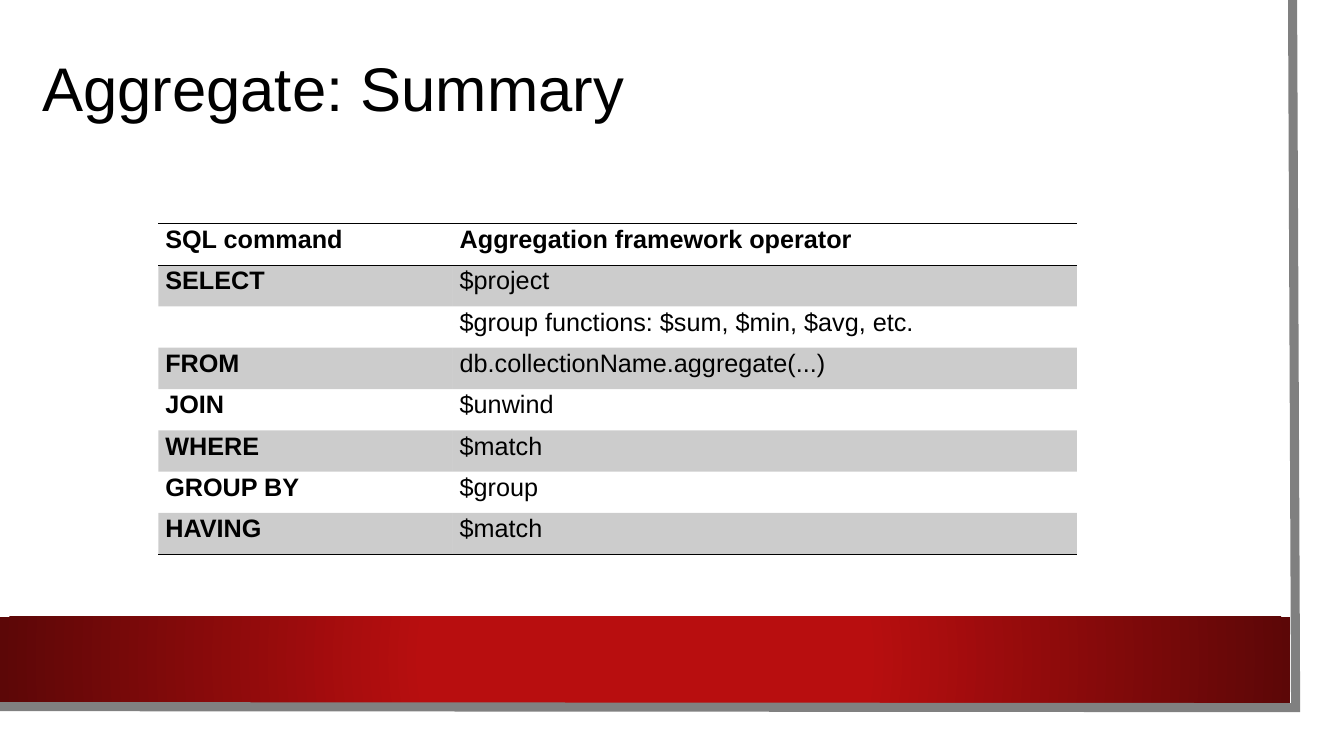
from dataclasses import dataclass

from lxml.etree import SubElement
from pptx import Presentation
from pptx.dml.color import RGBColor as Color
from pptx.enum.shapes import MSO_SHAPE as Shape
from pptx.enum.text import MSO_ANCHOR as Anchor
from pptx.oxml import parse_xml
from pptx.oxml.ns import nsdecls, qn
from pptx.util import Inches, Pt

PLAIN_TABLE_STYLE = "{2D5ABB26-0587-4C30-8999-92F81FD0307C}"
OPERATORS = [
    ("SQL command", "Aggregation framework operator"),
    ("SELECT", "$project"),
    ("", "$group functions: $sum, $min, $avg, etc."),
    ("FROM", "db.collectionName.aggregate(...)"),
    ("JOIN", "$unwind"),
    ("WHERE", "$match"),
    ("GROUP BY", "$group"),
    ("HAVING", "$match"),
]


@dataclass(frozen=True)
class Theme:
    font: str = "Arial"
    ink: str = "000000"
    paper: str = "FFFFFF"
    frame: str = "808080"
    red: str = "B80E0F"
    dark_red: str = "5C0707"
    title_size: int = 44
    table_size: int = 18
    band_opacity: int = 20


class SlideBuilder:
    def __init__(self, slide, theme):
        self.shapes = slide.shapes
        self.theme = theme

    def rectangle(self, left, top, width, height, color):
        box = self.shapes.add_shape(
            Shape.RECTANGLE, Inches(left), Inches(top), Inches(width), Inches(height))
        box.shadow.inherit = False
        box.line.fill.background()
        box.fill.solid()
        box.fill.fore_color.rgb = Color.from_string(color)
        return box

    def glowing_band(self, left, top, width, height):
        """Add a rectangle that darkens outwards from its centre."""
        band = self.rectangle(left, top, width, height, self.theme.red)
        properties = band.element.spPr
        gradient = parse_xml(
            f'<a:gradFill {nsdecls("a")} rotWithShape="1"><a:gsLst>'
            f'<a:gs pos="34000"><a:srgbClr val="{self.theme.red}"/></a:gs>'
            f'<a:gs pos="100000"><a:srgbClr val="{self.theme.dark_red}"/></a:gs>'
            '</a:gsLst><a:path path="circle">'
            '<a:fillToRect l="50000" t="50000" r="50000" b="50000"/>'
            '</a:path></a:gradFill>')
        properties.replace(properties.find(qn("a:solidFill")), gradient)

    def open_line(self, points, color, weight):
        start, *rest = [(Inches(x), Inches(y)) for x, y in points]
        builder = self.shapes.build_freeform(*start)
        builder.add_line_segments(rest, close=False)
        outline = builder.convert_to_shape()
        outline.shadow.inherit = False
        outline.fill.background()
        outline.line.color.rgb = Color.from_string(color)
        outline.line.width = Pt(weight)
        line = outline.element.spPr.find(qn("a:ln"))
        SubElement(line, qn("a:miter"), lim="800000")

    def set_text(self, frame, text, size, spacing, bold=False):
        para = frame.paragraphs[0]
        para.text = text
        para.line_spacing = spacing
        para.font.name = self.theme.font
        para.font.size = Pt(size)
        para.font.bold = bold
        para.font.color.rgb = Color.from_string(self.theme.ink)

    def title(self, left, top, width, height, text):
        box = self.shapes.add_textbox(
            Inches(left), Inches(top), Inches(width), Inches(height))
        frame = box.text_frame
        frame.word_wrap = True
        frame.vertical_anchor = Anchor.MIDDLE
        self.set_text(frame, text, self.theme.title_size, 0.9)

    def cell_border(self, cell, side):
        properties = cell._tc.get_or_add_tcPr()
        line = SubElement(properties, qn(f"a:ln{side}"), w=str(Pt(1)))
        fill = SubElement(line, qn("a:solidFill"))
        SubElement(fill, qn("a:srgbClr"), val=self.theme.ink)

    def cell_fill(self, cell, banded):
        if not banded:
            cell.fill.background()
            return
        cell.fill.solid()
        cell.fill.fore_color.rgb = Color.from_string(self.theme.ink)
        fill = cell._tc.get_or_add_tcPr().find(qn("a:solidFill"))
        SubElement(fill[0], qn("a:alpha"), val=str(self.theme.band_opacity * 1000))

    def table(self, left, top, column_widths, row_height, rows):
        """Add a ruled table with a bold header and first column, and shaded odd rows."""
        holder = self.shapes.add_table(
            len(rows), len(column_widths), Inches(left), Inches(top),
            Inches(sum(column_widths)), Inches(row_height * len(rows)))
        table = holder.table
        table.first_row = table.horz_banding = False
        style = next(holder.element.iter(qn("a:tableStyleId")))
        style.text = PLAIN_TABLE_STYLE
        for column, width in zip(table.columns, column_widths):
            column.width = Inches(width)
        last = len(rows) - 1
        for i, texts in enumerate(rows):
            table.rows[i].height = Inches(row_height)
            for j, text in enumerate(texts):
                cell = table.cell(i, j)
                cell.margin_left = cell.margin_right = Inches(0.07)
                cell.margin_top = cell.margin_bottom = 0
                if i == 0:
                    self.cell_border(cell, "T")
                if i in (0, last):
                    self.cell_border(cell, "B")
                self.cell_fill(cell, banded=i % 2 == 1)
                self.set_text(cell.text_frame, text, self.theme.table_size, 1.07,
                              bold=i == 0 or j == 0)


def main():
    deck = Presentation()
    deck.slide_width, deck.slide_height = Inches(13.33), Inches(7.5)
    theme = Theme()
    page = SlideBuilder(deck.slides.add_slide(deck.slide_layouts[6]), theme)
    page.rectangle(0, 0, 13.1, 7.27, theme.paper)
    page.glowing_band(0, 6.12, 12.8, 0.85)
    page.open_line([(12.82, 0), (12.85, 7.02), (-0.03, 7.01)], theme.frame, 6.5)
    page.title(0.32, 0.21, 12.37, 1.39, "Aggregate: Summary")
    page.table(1.57, 2.22, (2.92, 6.19), 0.41, OPERATORS)
    deck.save("out.pptx")


if __name__ == "__main__":
    main()
